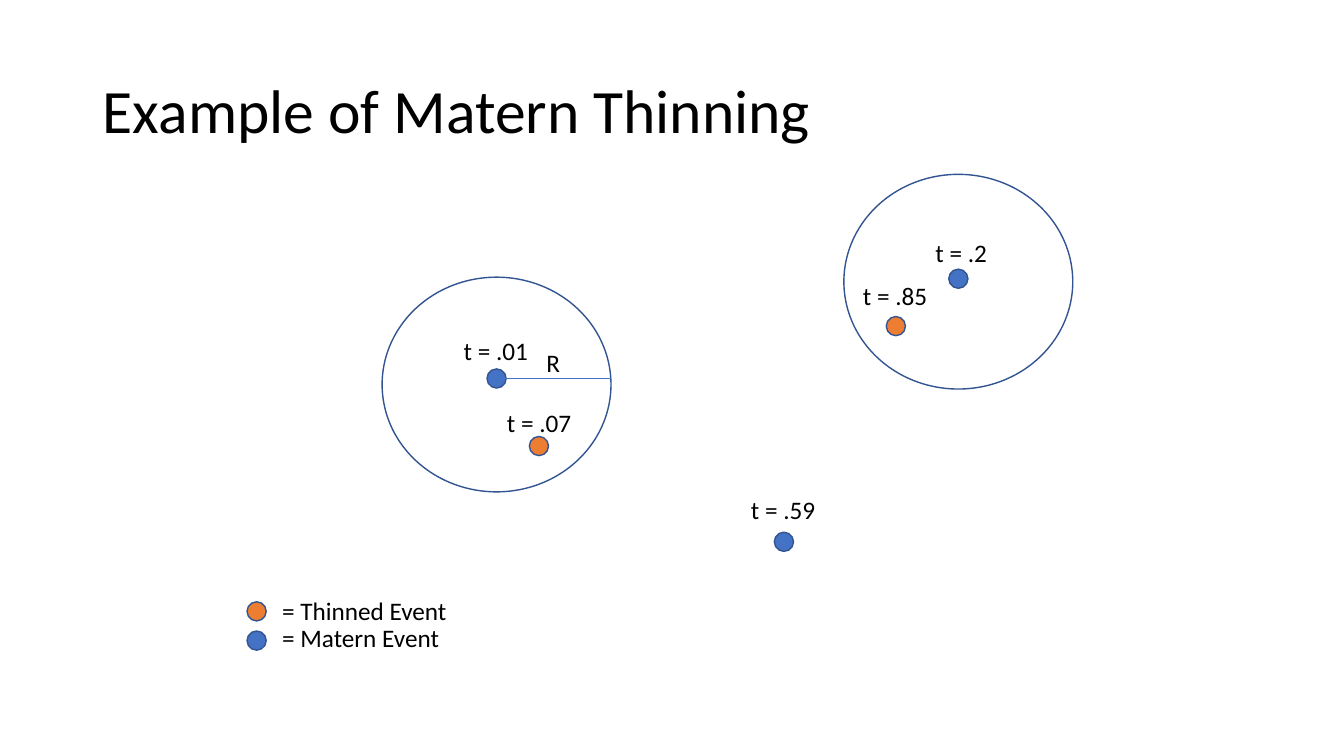
from dataclasses import dataclass

from lxml.etree import SubElement
from pptx import Presentation
from pptx.dml.color import RGBColor
from pptx.enum.shapes import MSO_CONNECTOR, MSO_SHAPE
from pptx.enum.text import MSO_ANCHOR, MSO_AUTO_SIZE, PP_ALIGN
from pptx.oxml.ns import qn
from pptx.shapes.autoshape import Shape
from pptx.slide import Slide
from pptx.text.text import TextFrame
from pptx.util import Inches, Pt


@dataclass(frozen=True)
class Theme:
    font: str = "Calibri"
    title_size: int = 44
    label_size: int = 18
    text: RGBColor = RGBColor(0x00, 0x00, 0x00)
    background: RGBColor = RGBColor(0xFF, 0xFF, 0xFF)
    outline: RGBColor = RGBColor(0x32, 0x54, 0x91)
    matern: RGBColor = RGBColor(0x44, 0x72, 0xC4)
    thinned: RGBColor = RGBColor(0xED, 0x7D, 0x31)


@dataclass(frozen=True)
class Zone:
    left: float
    top: float


@dataclass(frozen=True)
class Event:
    left: float
    top: float
    color: RGBColor


@dataclass(frozen=True)
class Label:
    text: str
    left: float
    top: float
    width: float = 0.85


THEME = Theme()
ZONE_WIDTH, ZONE_HEIGHT = 2.27, 2.13
EVENT_SIZE = 0.19
LABEL_HEIGHT = 0.4
RADIUS_START, RADIUS_END, RADIUS_Y = 4.86, 6.06, 3.75

ZONES = (Zone(3.79, 2.75), Zone(8.37, 1.73))
EVENTS = (
    Event(4.83, 3.66, THEME.matern),
    Event(5.25, 4.33, THEME.thinned),
    Event(7.68, 5.28, THEME.matern),
    Event(8.79, 3.14, THEME.thinned),
    Event(9.41, 2.67, THEME.matern),
    Event(2.45, 5.97, THEME.thinned),
    Event(2.45, 6.26, THEME.matern),
)
LABELS = (
    Label("R", 5.32, 3.4, 0.34),
    Label("t = .85", 8.46, 2.73),
    Label("t = .2", 9.18, 2.31, 0.72),
    Label("t = .01", 4.5, 3.28),
    Label("t = .07", 4.93, 3.99),
    Label("t = .59", 7.35, 4.85),
    Label("= Thinned Event", 2.7, 5.86, 1.85),
    Label("= Matern Event", 2.7, 6.12, 1.78),
)


def write_text(frame: TextFrame, text: str, size: int) -> None:
    frame.text = text
    paragraph = frame.paragraphs[0]
    paragraph.alignment = PP_ALIGN.LEFT
    font = paragraph.runs[0].font
    for name, value in {"name": THEME.font, "size": Pt(size)}.items():
        setattr(font, name, value)
    font.color.rgb = THEME.text


def set_title(slide: Slide, text: str) -> None:
    title = slide.shapes.title
    box = {"left": 0.92, "top": 0.4, "width": 11.5, "height": 1.45}
    for name, value in box.items():
        setattr(title, name, Inches(value))
    frame = title.text_frame
    write_text(frame, text, THEME.title_size)
    frame.vertical_anchor = MSO_ANCHOR.MIDDLE
    frame.paragraphs[0].line_spacing = 0.9


def add_ellipse(slide: Slide, left: float, top: float, width: float, height: float) -> Shape:
    ellipse = slide.shapes.add_shape(
        MSO_SHAPE.OVAL, Inches(left), Inches(top), Inches(width), Inches(height)
    )
    ellipse.shadow.inherit = False
    ellipse.line.color.rgb = THEME.outline
    ellipse.line.width = Pt(1)
    return ellipse


def add_zone(slide: Slide, zone: Zone) -> None:
    add_ellipse(slide, zone.left, zone.top, ZONE_WIDTH, ZONE_HEIGHT).fill.background()


def add_event(slide: Slide, event: Event) -> None:
    dot = add_ellipse(slide, event.left, event.top, EVENT_SIZE, EVENT_SIZE)
    dot.fill.solid()
    dot.fill.fore_color.rgb = event.color


def add_radius(slide: Slide) -> None:
    radius = slide.shapes.add_connector(
        MSO_CONNECTOR.STRAIGHT,
        Inches(RADIUS_START), Inches(RADIUS_Y), Inches(RADIUS_END), Inches(RADIUS_Y),
    )
    radius.line.color.rgb = THEME.matern
    radius.line.width = Pt(0.5)
    SubElement(radius._element.spPr, qn("a:effectLst"))


def add_label(slide: Slide, label: Label) -> None:
    box = slide.shapes.add_textbox(
        Inches(label.left), Inches(label.top), Inches(label.width), Inches(LABEL_HEIGHT)
    )
    frame = box.text_frame
    write_text(frame, label.text, THEME.label_size)
    for name, value in {"word_wrap": False, "auto_size": MSO_AUTO_SIZE.SHAPE_TO_FIT_TEXT}.items():
        setattr(frame, name, value)


def main() -> None:
    presentation = Presentation()
    presentation.slide_width = Inches(13.33)
    presentation.slide_height = Inches(7.5)
    slide = presentation.slides.add_slide(presentation.slide_layouts.get_by_name("Title Only"))
    slide.background.fill.solid()
    slide.background.fill.fore_color.rgb = THEME.background

    set_title(slide, "Example of Matern Thinning")
    for zone in ZONES:
        add_zone(slide, zone)
    for event in EVENTS:
        add_event(slide, event)
    add_radius(slide)
    for label in LABELS:
        add_label(slide, label)
    presentation.save("out.pptx")


if __name__ == "__main__":
    main()
